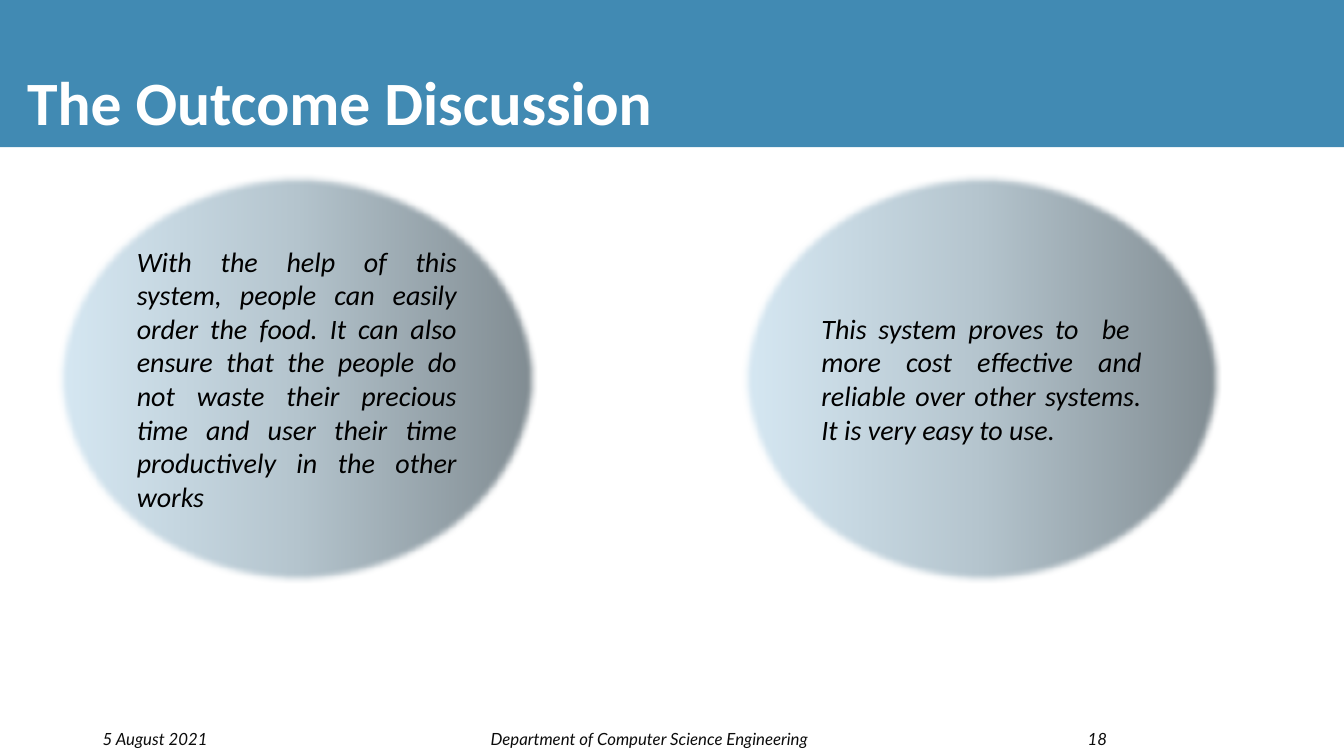
import copy
import pptx
import pptx.util
import pptx.dml.color
import pptx.enum.shapes
import pptx.enum.text
import pptx.oxml
import pptx.oxml.ns

Inches = pptx.util.Inches
RGBColor = pptx.dml.color.RGBColor
Align = pptx.enum.text.PP_ALIGN
Anchor = pptx.enum.text.MSO_ANCHOR
Shape = pptx.enum.shapes.MSO_SHAPE

BLUE = RGBColor(0x41, 0x8A, 0xB3)
WHITE = RGBColor(0xFF, 0xFF, 0xFF)
BLACK = RGBColor(0, 0, 0)
INK = RGBColor(0x0C, 0x0C, 0x0C)
GRAY = RGBColor(0x7F, 0x8A, 0x90)
STEEL = RGBColor(0xB4, 0xC4, 0xCD)
PALE = RGBColor(0xD6, 0xE8, 0xF3)

SOFT = ('<a:softEdge xmlns:a="http://schemas.openxmlformats.org/drawingml/2006/main"'
        ' rad="63500"/>')


class Deck:
    head = "Calibri"
    small = "Lato"

    def __init__(self):
        self.prs = pptx.Presentation()
        self.prs.slide_width = Inches(13.33)
        self.prs.slide_height = Inches(7.5)
        self.slide = self.prs.slides.add_slide(self.prs.slide_layouts[6])

    def label(self, frame, text, font, size, color, align, anchor, bold=False, italic=False):
        frame.word_wrap = True
        frame.vertical_anchor = anchor
        para = frame.paragraphs[0]
        para.text = text
        para.alignment = align
        para.font.name = font
        para.font.size = pptx.util.Pt(size)
        para.font.color.rgb = color
        para.font.bold = bold
        para.font.italic = italic

    def shape(self, kind, x, y, w, h):
        shape = self.slide.shapes.add_shape(kind, Inches(x), Inches(y), Inches(w), Inches(h))
        shape.line.fill.background()
        shape.shadow.inherit = False
        return shape

    def box(self, x, y, w, h):
        area = self.slide.shapes.add_textbox(Inches(x), Inches(y), Inches(w), Inches(h))
        return area.text_frame

    def band(self, w, h):
        band = self.shape(Shape.RECTANGLE, 0, 0, w, h)
        band.fill.solid()
        band.fill.fore_color.rgb = BLUE

    def title(self, text):
        self.label(self.box(0.17, 0, 12.99, 1.42), text, self.head, 44, WHITE,
                   Align.LEFT, Anchor.BOTTOM, bold=True)

    def footer(self, x, w, text, align):
        self.label(self.box(x, 7.18, w, 0.3), text, self.small, 12, INK,
                   align, Anchor.MIDDLE, italic=True)

    def bubble(self, x, text):
        oval = self.shape(Shape.OVAL, x, 1.72, 4.77, 4.07)
        # Three-stop gradient, dark at the right
        oval.fill.gradient()
        oval.fill.gradient_angle = 180
        stops = oval._element.spPr.find(".//" + pptx.oxml.ns.qn("a:gsLst"))
        stops.append(copy.deepcopy(stops[0]))
        for stop, place, color in zip(oval.fill.gradient_stops, (0, 0.5, 1),
                                      (GRAY, STEEL, PALE)):
            stop.position = place
            stop.color.rgb = color
        # Soft edge
        effects = oval._element.spPr.find(pptx.oxml.ns.qn("a:effectLst"))
        effects.append(pptx.oxml.parse_xml(SOFT))
        self.label(oval.text_frame, text, self.head, 20, BLACK,
                   Align.JUSTIFY, Anchor.MIDDLE, italic=True)


def main():
    deck = Deck()

    # Heading
    deck.band(13.33, 1.46)
    deck.title("The Outcome Discussion")

    # Outcomes
    deck.bubble(0.56, "With the help of this system, people can easily order the food. "
                      "It can also ensure that the people do not waste their precious time "
                      "and user their time productively in the other works")
    deck.bubble(7.35, "This system proves to  be  more cost effective and reliable over "
                      "other systems. It is very easy to use.")

    # Footer
    deck.footer(0.92, 3.5, "5 August 2021", Align.LEFT)
    deck.footer(4.69, 3.5, "Department of Computer Science Engineering", Align.CENTER)
    deck.footer(9.58, 1.5, "18", Align.RIGHT)

    deck.prs.save("out.pptx")


if __name__ == "__main__":
    main()
